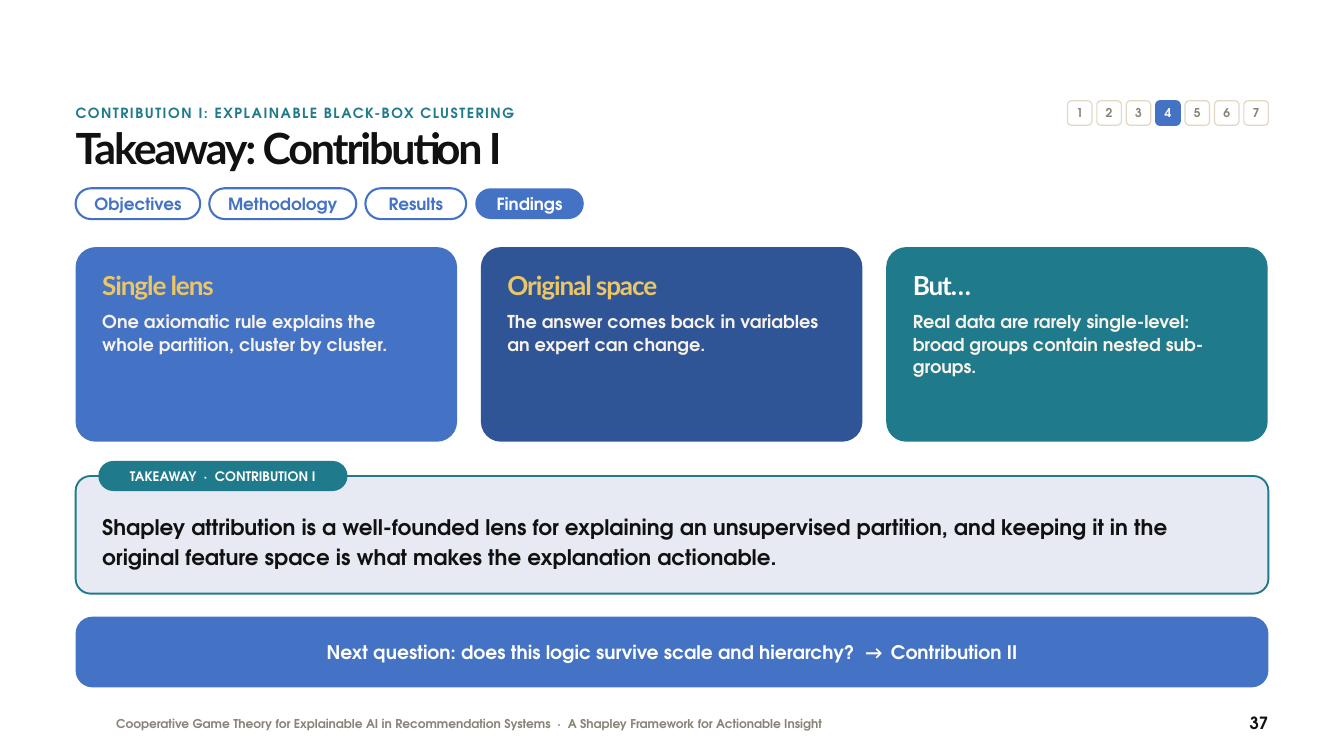
from dataclasses import dataclass
from typing import Optional

import pptx
import pptx.dml.color
import pptx.enum.shapes
import pptx.enum.text
import pptx.util

ALIGN = pptx.enum.text.PP_ALIGN
ANCHOR = pptx.enum.text.MSO_ANCHOR
EMU_PER_PX = 9525
LEFT, WIDTH = 108, 1704
RIGHT = LEFT + WIDTH
BODY_FONT, HEADING_FONT, ARROW_FONT = "TeX Gyre Adventor", "Lato", "Calibri"
COLORS = {
    "blue": "4472C4", "navy": "2F5597", "teal": "1F7A8C", "gold": "ECC665",
    "cream": "F7F2EA", "sand": "E3D6C4", "taupe": "8A8378", "mist": "E7EAF3",
    "ink": "111111", "white": "FFFFFF",
}


@dataclass(frozen=True)
class Box:
    left: int
    top: int
    width: int
    height: int

    def emu(self) -> list[int]:
        return [px(n) for n in (self.left, self.top, self.width, self.height)]


@dataclass(frozen=True)
class Style:
    size: int
    line_spacing: float
    color: str
    font: str = BODY_FONT
    align: ALIGN = ALIGN.LEFT
    tracking: float = 0
    space_before: int = 0


@dataclass(frozen=True)
class Chip:
    label: str
    width: int
    active: bool = False


@dataclass(frozen=True)
class Card:
    heading: str
    body: str
    fill: str
    heading_color: str


CHIPS = [Chip("Objectives", 178), Chip("Methodology", 210),
         Chip("Results", 144), Chip("Findings", 155, True)]
CARDS = [
    Card("Single lens",
         "One axiomatic rule explains the whole partition, cluster by cluster.",
         "blue", "gold"),
    Card("Original space",
         "The answer comes back in variables an expert can change.",
         "navy", "gold"),
    Card("But…",
         "Real data are rarely single-level: broad groups contain nested sub-groups.",
         "teal", "white"),
]
STEP_COUNT, CURRENT_STEP = 7, 4


def px(length: int) -> int:
    return pptx.util.Emu(length * EMU_PER_PX)


def rgb(name: str) -> pptx.dml.color.RGBColor:
    return pptx.dml.color.RGBColor.from_string(COLORS[name])


def set_frame(frame, anchor: ANCHOR, side: int = 0, vertical: int = 0) -> None:
    """Wrap the text frame, fix its size, anchor and insets."""
    frame.word_wrap = True
    frame.auto_size = pptx.enum.text.MSO_AUTO_SIZE.NONE
    frame.vertical_anchor = anchor
    frame.margin_left = frame.margin_right = px(side)
    frame.margin_top = frame.margin_bottom = px(vertical)


def write(paragraph, text: str, style: Style) -> None:
    paragraph.alignment = style.align
    paragraph.line_spacing = pptx.util.Pt(style.line_spacing)
    paragraph.space_before = pptx.util.Pt(style.space_before)
    font = paragraph.font
    font.name, font.size, font.bold = style.font, pptx.util.Pt(style.size), True
    font.color.rgb = rgb(style.color)
    run = paragraph.add_run()
    run.text = text
    if style.tracking:
        run._r.get_or_add_rPr().set("spc", str(round(style.tracking * 100)))


def add_text(slide, box: Box, text: str, style: Style,
             anchor: ANCHOR = ANCHOR.TOP):
    frame = slide.shapes.add_textbox(*box.emu()).text_frame
    set_frame(frame, anchor)
    write(frame.paragraphs[0], text, style)
    return frame


def add_panel(slide, box: Box, radius: float, fill: Optional[str],
              line: Optional[str] = None, line_width: float = 1):
    """Add a rounded rectangle; no fill or line where the colour is None."""
    shape = slide.shapes.add_shape(
        pptx.enum.shapes.MSO_SHAPE.ROUNDED_RECTANGLE, *box.emu())
    shape.adjustments[0] = radius
    shape.shadow.inherit = False
    if fill:
        shape.fill.solid()
        shape.fill.fore_color.rgb = rgb(fill)
    else:
        shape.fill.background()
    if line:
        shape.line.color.rgb = rgb(line)
        shape.line.width = pptx.util.Pt(line_width)
    else:
        shape.line.fill.background()
    return shape


def label(shape, text: str, style: Style, side: int = 5, vertical: int = 0):
    set_frame(shape.text_frame, ANCHOR.MIDDLE, side, vertical)
    paragraph = shape.text_frame.paragraphs[0]
    write(paragraph, text, style)
    return paragraph


def add_header(slide) -> None:
    add_text(slide, Box(LEFT, 146, 1358, 35),
             "CONTRIBUTION I: EXPLAINABLE BLACK-BOX CLUSTERING",
             Style(15, 20, "teal", tracking=1.6))
    title = slide.shapes.title
    title.left, title.top, title.width, title.height = Box(LEFT, 180, WIDTH, 77).emu()
    set_frame(title.text_frame, ANCHOR.TOP)
    write(title.text_frame.paragraphs[0], "Takeaway: Contribution I",
          Style(46, 50.6, "ink", HEADING_FONT, tracking=-2.3))


def add_steps(slide) -> None:
    size, pitch = 35, 42
    first = RIGHT - size - (STEP_COUNT - 1) * pitch
    for index in range(STEP_COUNT):
        current = index + 1 == CURRENT_STEP
        badge = add_panel(slide, Box(first + index * pitch, 144, size, size), 0.167,
                          "blue" if current else "white",
                          "blue" if current else "sand", 1.25)
        color = "white" if current else "taupe"
        label(badge, str(index + 1), Style(13, 15, color, align=ALIGN.CENTER), side=0)


def add_chips(slide) -> None:
    left = LEFT
    for chip in CHIPS:
        shape = add_panel(slide, Box(left, 269, chip.width, 44), 0.5,
                          "blue" if chip.active else None,
                          None if chip.active else "blue", 2.25)
        color = "white" if chip.active else "blue"
        label(shape, chip.label, Style(18, 21.6, color, align=ALIGN.CENTER))
        left += chip.width + 13


def add_cards(slide) -> None:
    width, pitch, padding = 545, 579, 38
    for index, card in enumerate(CARDS):
        left = LEFT + index * pitch
        add_panel(slide, Box(left, 353, width, 278), 0.103, card.fill)
        frame = add_text(slide, Box(left + padding, 387, width - 2 * padding, 221),
                         card.heading,
                         Style(28, 32, card.heading_color, HEADING_FONT, tracking=-1.2))
        write(frame.add_paragraph(), card.body,
              Style(19, 24, "cream", space_before=10))


def add_takeaway(slide) -> None:
    add_panel(slide, Box(LEFT, 680, WIDTH, 168), 0.126, "mist", "teal", 2)
    tag = add_panel(slide, Box(142, 660, 353, 40), 0.5, "teal", "teal", 2.25)
    label(tag, "TAKEAWAY  ·  CONTRIBUTION I",
          Style(14, 16.8, "white", align=ALIGN.CENTER))
    add_text(slide, Box(146, 708, 1627, 125),
             "Shapley attribution is a well-founded lens for explaining an "
             "unsupervised partition, and keeping it in the original feature "
             "space is what makes the explanation actionable.",
             Style(23, 32.2, "ink"), ANCHOR.MIDDLE)


def add_next_question(slide) -> None:
    banner = add_panel(slide, Box(LEFT, 881, WIDTH, 101), 0.238, "blue")
    paragraph = label(
        banner, "Next question: does this logic survive scale and hierarchy?  ",
        Style(20, 25, "white", align=ALIGN.CENTER), side=48, vertical=5)
    for text, font in (("→  ", ARROW_FONT), ("Contribution II", BODY_FONT)):
        run = paragraph.add_run()
        run.text = text
        run.font.name = font


def add_footer(slide) -> None:
    add_text(slide, Box(166, 1023, 1344, 29),
             "Cooperative Game Theory for Explainable AI in Recommendation Systems"
             "  ·  A Shapley Framework for Actionable Insight",
             Style(13, 16, "taupe"))
    add_text(slide, Box(RIGHT - 115, 1018, 115, 35), "37",
             Style(18, 22, "ink", align=ALIGN.RIGHT))


def main() -> None:
    presentation = pptx.Presentation()
    presentation.slide_width, presentation.slide_height = px(1920), px(1080)
    slide = presentation.slides.add_slide(presentation.slide_layouts[5])
    for add_part in (add_header, add_steps, add_chips, add_cards,
                     add_takeaway, add_next_question, add_footer):
        add_part(slide)
    presentation.save("out.pptx")


if __name__ == "__main__":
    main()
